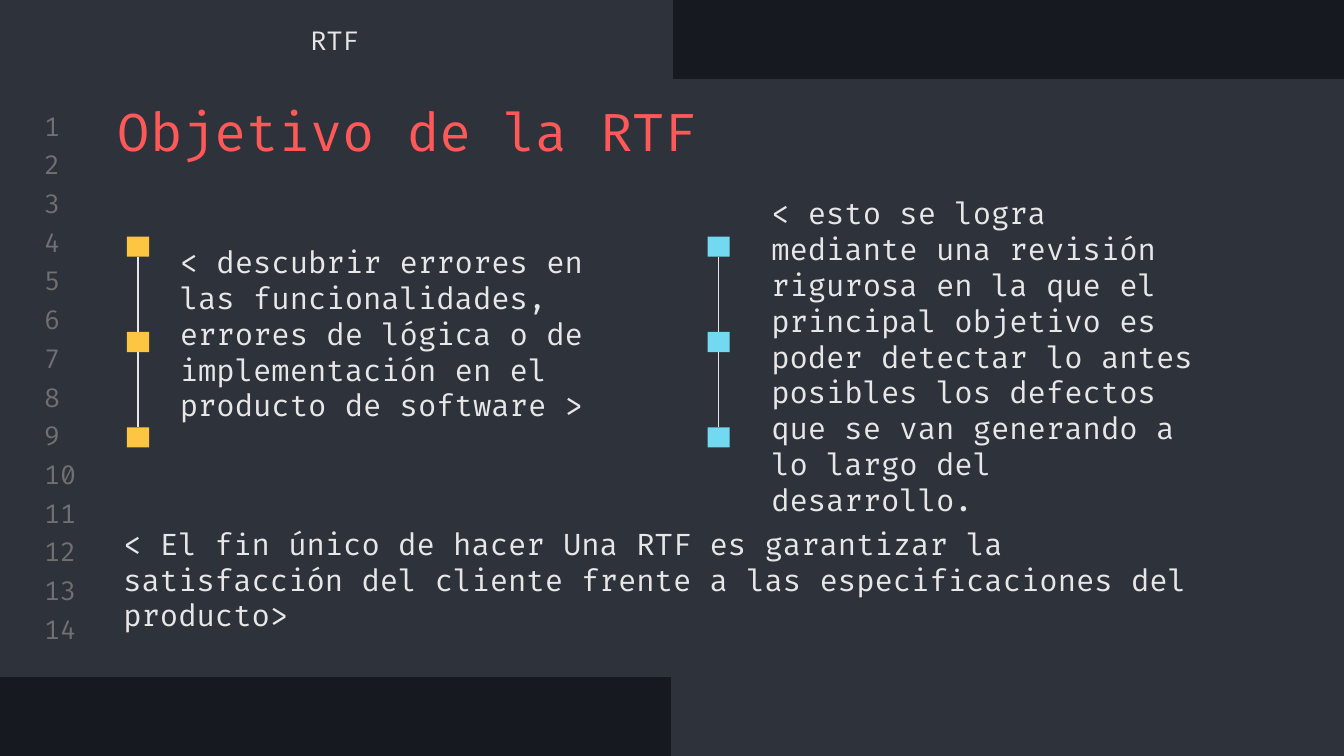
from lxml.etree import SubElement
from pptx import Presentation
from pptx.dml.color import RGBColor
from pptx.enum.shapes import MSO_CONNECTOR, MSO_SHAPE
from pptx.enum.text import MSO_ANCHOR, PP_ALIGN
from pptx.oxml.ns import qn
from pptx.util import Inches, Pt

COLORS = {
    "night": "16191F",
    "panel": "2E323B",
    "number": "707070",
    "title": "FF5858",
    "text": "E7E7E7",
    "yellow": "FCC642",
    "blue": "72D9F0",
}

deck = Presentation()
deck.slide_width = Inches(10)
deck.slide_height = deck.slide_width * 9 // 16
page = deck.slides.add_slide(deck.slide_layouts[6])
page.background.fill.solid()
page.background.fill.fore_color.rgb = RGBColor.from_string(COLORS["night"])

COLUMN = ROW = deck.slide_width // 100


def add_block(column, row, columns, rows, color, outlined=False):
    block = page.shapes.add_shape(
        MSO_SHAPE.RECTANGLE, round(column * COLUMN), round(row * ROW),
        round(columns * COLUMN), round(rows * ROW))
    block.shadow.inherit = False
    block.fill.solid()
    block.fill.fore_color.rgb = RGBColor.from_string(COLORS[color])
    if outlined:
        block.line.color.rgb = RGBColor.from_string(COLORS[color])
        block.line.width = Pt(0.75)
    else:
        block.line.fill.background()
    return block


def add_text(column, row, columns, rows, text, size, color="text",
             anchor=MSO_ANCHOR.MIDDLE, align=PP_ALIGN.LEFT):
    box = page.shapes.add_textbox(
        round(column * COLUMN), round(row * ROW),
        round(columns * COLUMN), round(rows * ROW))
    frame = box.text_frame
    frame.word_wrap = True
    frame.vertical_anchor = anchor
    frame.margin_left = frame.margin_right = Inches(0.1)
    frame.margin_top = frame.margin_bottom = Inches(0.1)
    para = frame.paragraphs[0]
    para.alignment = align
    span = para.add_run()
    span.text = text
    span.font.name = "Fira Code"
    span.font.size = Pt(size)
    span.font.color.rgb = RGBColor.from_string(COLORS[color])


for panel in [(0, 0, 50, 6.5), (50, 49.8, 50, 6.45), (0, 5.9, 100, 44.4)]:
    add_block(*panel, "panel", outlined=True)

for index in range(14):
    add_text(2.3, 8.15 + 2.88 * index, 4.7, 2.4, str(index + 1), 14, "number")

add_text(7.8, 6.4, 84.4, 6.3, "Objetivo de la RTF", 28, "title", MSO_ANCHOR.TOP)
add_text(-0.1, 1, 50, 3.9, "RTF", 14, align=PP_ALIGN.CENTER)
add_text(12.4, 22.3, 34.1, 5,
         "< descubrir errores en las funcionalidades, errores de lógica o de "
         "implementación en el producto de software >", 16)
add_text(56.4, 24, 34.1, 5,
         "< esto se logra mediante una revisión rigurosa en la que el principal "
         "objetivo es poder detectar lo antes posibles los defectos que se van "
         "generando a lo largo del desarrollo.", 16)

for column, color in [(9.45, "yellow"), (52.65, "blue")]:
    markers = [add_block(column, 17.6 + 7.1 * step, 1.65, 1.5, color)
               for step in range(3)]
    for upper, lower in zip(markers, markers[1:]):
        link = page.shapes.add_connector(MSO_CONNECTOR.STRAIGHT, 0, 0, 0, 0)
        link.begin_connect(upper, 2)
        link.end_connect(lower, 0)
        link.line.color.rgb = RGBColor.from_string(COLORS["text"])
        link.line.width = Pt(0.75)
        SubElement(link._element.spPr, qn("a:effectLst"))

add_text(8.2, 40.6, 84.4, 5,
         "< El fin único de hacer Una RTF es garantizar la satisfacción del "
         "cliente frente a las especificaciones del producto>", 16)

deck.save("out.pptx")
